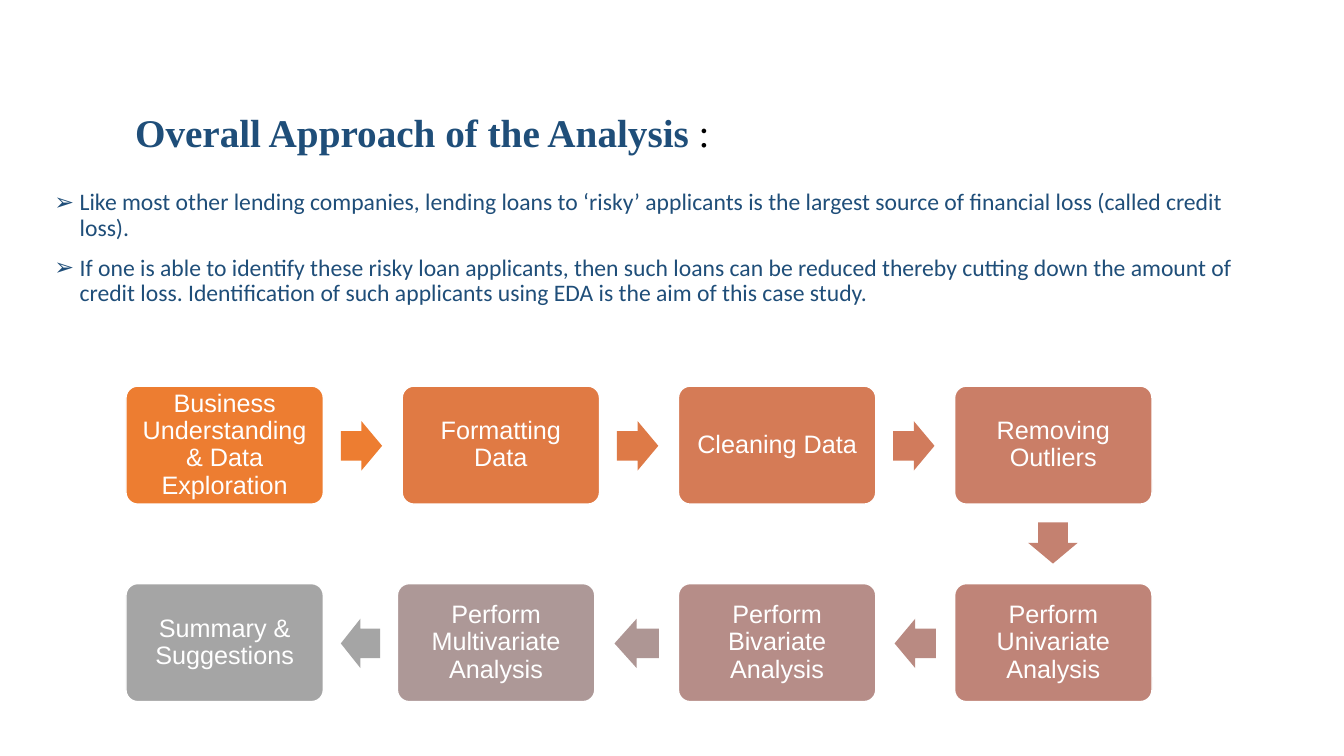
from lxml.etree import SubElement
from pptx import Presentation
from pptx.dml.color import RGBColor
from pptx.enum.shapes import MSO_SHAPE as Shape
from pptx.enum.text import MSO_ANCHOR as Anchor, MSO_AUTO_SIZE as AutoSize, PP_ALIGN as Align
from pptx.oxml.ns import qn
from pptx.util import Pt

NAVY = RGBColor(0x1F, 0x4E, 0x79)
BLACK = RGBColor(0, 0, 0)
WHITE = RGBColor(255, 255, 255)

HEADING, HEADING_END = "Overall Approach of the Analysis", " :"
AIMS = [
    "Like most other lending companies, lending loans to ‘risky’ applicants is the largest "
    "source of financial loss (called credit loss).",
    "If one is able to identify these risky loan applicants, then such loans can be reduced "
    "thereby cutting down the amount of credit loss. Identification of such applicants using "
    "EDA is the aim of this case study.",
]
# Step, box colour, colour of the arrow that leaves it
STEPS = [
    ("Business Understanding & Data Exploration", "ED7D31", "ED7D31"),
    ("Formatting Data", "E07A44", "DE7A47"),
    ("Cleaning Data", "D57B56", "D17B5C"),
    ("Removing Outliers", "CA7E67", "C48170"),
    ("Perform Univariate Analysis", "BF8478", "B98A82"),
    ("Perform Bivariate Analysis", "B68D88", "AE9694"),
    ("Perform Multivariate Analysis", "AD9897", "A5A5A5"),
    ("Summary & Suggestions", "A5A5A5", None),
]
COLUMNS = 4
BOX_LEFT, BOX_WIDTH, BOX_HEIGHT, COLUMN_PITCH = 90, 141, 84.3, 197.3
ROW_TOPS = (275.8, 416.9)
MULTIVARIATE, MULTIVARIATE_SHIFT = 6, -3.4
ARROW_HEIGHT, ARROW_WIDTH = 35.3, 29.5
BACK_ARROW_WIDTHS = {4: 29.5, 5: 31.7, 6: 28}
DOWN_ARROW_CENTRE = (752.1, 387.8)


def add_text(paragraph, text, size, font, color, bold=False, align=Align.LEFT):
    paragraph.alignment = align
    paragraph.line_spacing = 0.9
    run = paragraph.add_run()
    run.text = text
    run.font.size, run.font.name, run.font.bold = Pt(size), font, bold
    run.font.color.rgb = color


def place(holder, left, top, width, height, anchor):
    holder.left, holder.top, holder.width, holder.height = map(Pt, (left, top, width, height))
    frame = holder.text_frame
    frame.word_wrap, frame.auto_size, frame.vertical_anchor = True, AutoSize.NONE, anchor
    return frame


def set_bullet(paragraph):
    props = paragraph._p.get_or_add_pPr()
    props.set("marL", str(Pt(18)))
    props.set("indent", str(-Pt(18)))
    color = SubElement(props, qn("a:buClr"))
    SubElement(color, qn("a:srgbClr"), val=str(NAVY))
    SubElement(props, qn("a:buFont"), typeface="Wingdings")
    props[-1].set("typeface", "Arial")
    SubElement(props, qn("a:buChar"), char="➢")


def add_block(kind, left, top, width, height, fill, adjustments):
    block = slide.shapes.add_shape(kind, Pt(left), Pt(top), Pt(width), Pt(height))
    block.shadow.inherit = False
    block.fill.solid()
    block.fill.fore_color.rgb = RGBColor.from_string(fill)
    block.line.fill.background()
    for i, value in enumerate(adjustments):
        block.adjustments[i] = value
    return block


def box_left(step):
    column = step if step < COLUMNS else 2 * COLUMNS - 1 - step
    shift = MULTIVARIATE_SHIFT if step == MULTIVARIATE else 0
    return BOX_LEFT + column * COLUMN_PITCH + shift


prs = Presentation()
prs.slide_width, prs.slide_height = Pt(960), Pt(540)
slide = prs.slides.add_slide(prs.slide_layouts[1])

# Heading
heading = place(slide.shapes.title, 89.3, 71.3, 733.7, 50.4, Anchor.MIDDLE).paragraphs[0]
add_text(heading, HEADING, 28, "Times New Roman", NAVY, bold=True)
add_text(heading, HEADING_END, 28, "Times New Roman", BLACK)

# Aims
aims = place(slide.placeholders[1], 31.7, 132.5, 879.1, 107.3, Anchor.TOP)
for i, aim in enumerate(AIMS):
    paragraph = aims.paragraphs[0] if i == 0 else aims.add_paragraph()
    add_text(paragraph, aim, 16.9, "Calibri", NAVY)
    paragraph.space_before = Pt(10)
    set_bullet(paragraph)

# Steps run right along the first row, then back along the second
for i, (step, box_fill, arrow_fill) in enumerate(STEPS):
    row_top = ROW_TOPS[i // COLUMNS]
    box = add_block(Shape.ROUNDED_RECTANGLE, box_left(i), row_top, BOX_WIDTH, BOX_HEIGHT,
                    box_fill, [0.1])
    box.line.color.rgb, box.line.width = WHITE, Pt(1)
    frame = box.text_frame
    frame.word_wrap, frame.vertical_anchor = True, Anchor.MIDDLE
    frame.margin_left = frame.margin_right = frame.margin_top = frame.margin_bottom = Pt(5)
    add_text(frame.paragraphs[0], step, 18, "Arial", WHITE, align=Align.CENTER)

    # Arrow to the next step
    if arrow_fill is None:
        continue
    if i == COLUMNS - 1:
        turn, (centre_x, centre_y) = 90, DOWN_ARROW_CENTRE
    else:
        turn = 0 if i < COLUMNS else 180
        centre_x = (box_left(i) + box_left(i + 1) + BOX_WIDTH) / 2 - (1 if turn == 0 else 0)
        centre_y = row_top + BOX_HEIGHT / 2 + 0.5
    width = BACK_ARROW_WIDTHS.get(i, ARROW_WIDTH)
    arrow = add_block(Shape.RIGHT_ARROW, centre_x - width / 2, centre_y - ARROW_HEIGHT / 2,
                      width, ARROW_HEIGHT, arrow_fill, [0.6, 0.5])
    arrow.rotation = turn

prs.save("out.pptx")
